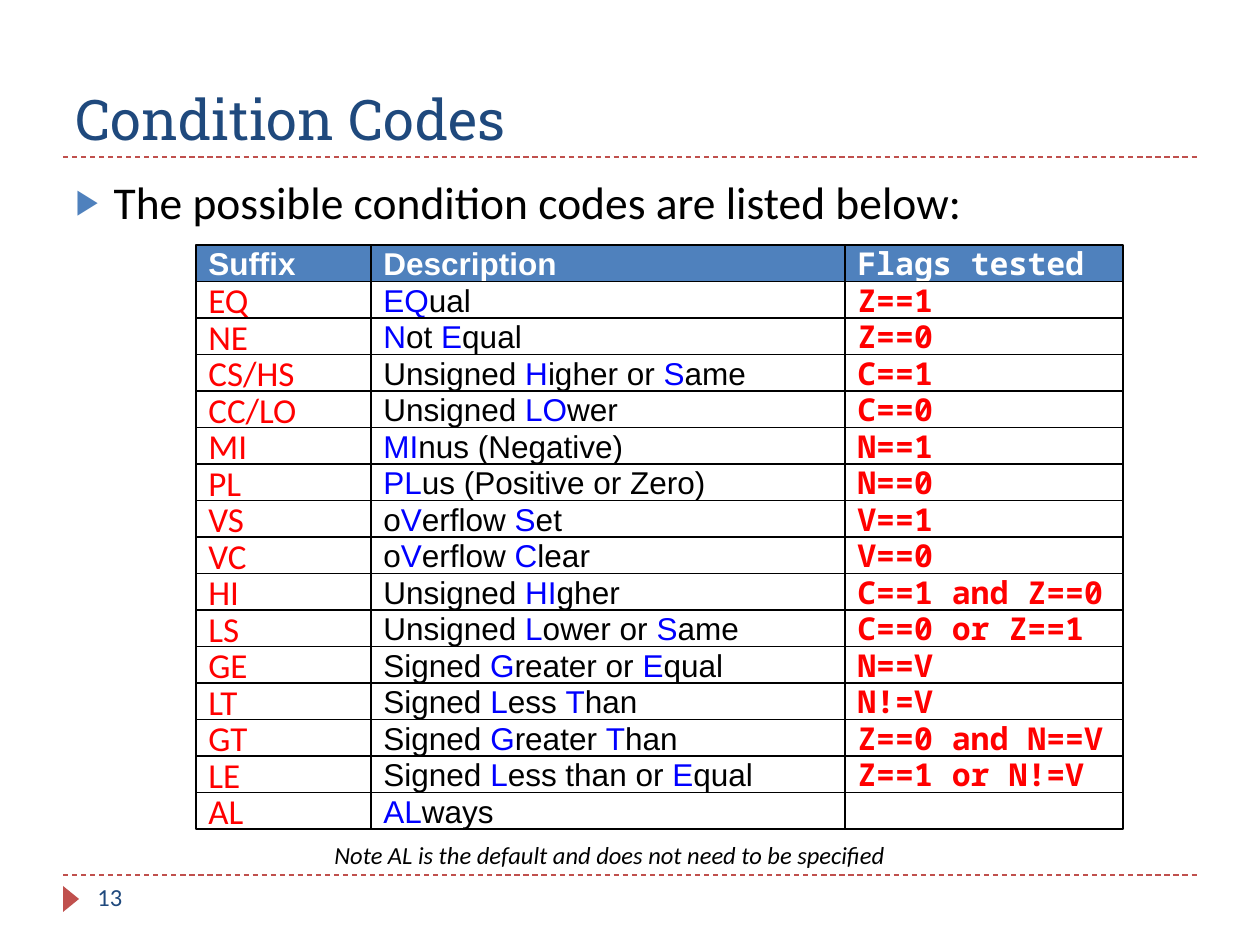
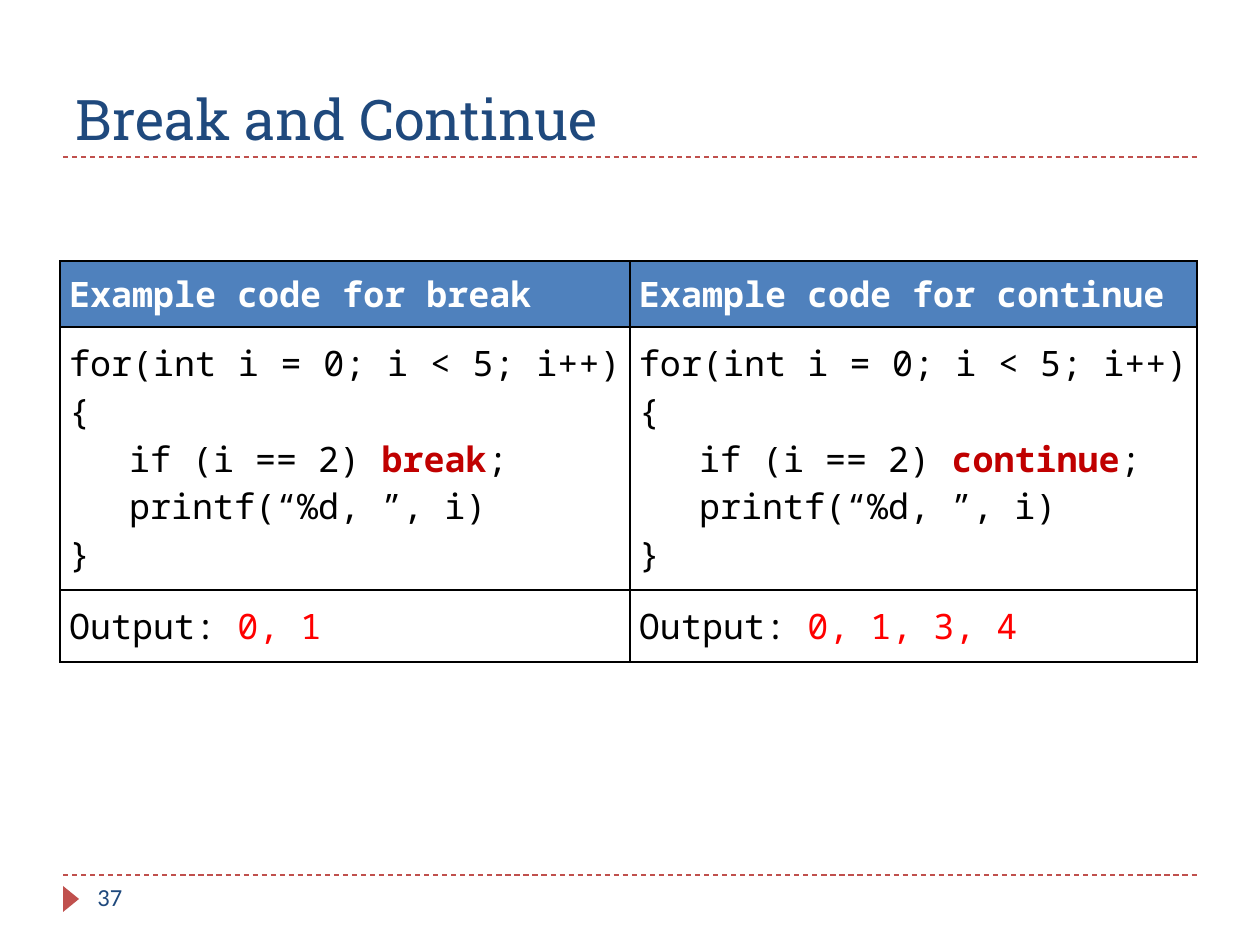
from collections import namedtuple

from lxml import etree
from pptx import Presentation
from pptx import util as u
from pptx.dml.color import RGBColor
from pptx.enum import dml, shapes, text
from pptx.oxml import ns

NAVY = RGBColor(0x1F, 0x49, 0x7D)
BLUE = RGBColor(0x4F, 0x81, 0xBD)
BRICK = RGBColor(0xC0, 0x50, 0x4D)
DARK_RED = RGBColor(0xC0, 0x00, 0x00)
RED = RGBColor(0xFF, 0x00, 0x00)
LETTER_BLUE = RGBColor(0x00, 0x00, 0xFF)
BLACK = RGBColor(0x00, 0x00, 0x00)
WHITE = RGBColor(0xFF, 0xFF, 0xFF)

SANS, BODY, MONO, SLAB = "Arial", "Calibri", "Noto Sans Mono", "Roboto Slab"
Style = namedtuple("Style", "font size colour bold italic accent accent_bold",
                   defaults=(False, False, None, False))

TITLE = Style(SLAB, 32, NAVY)
BULLET = Style(BODY, 26, BLACK)
NOTE = Style(BODY, 14, BLACK, italic=True)
NUMBER = Style(BODY, 14, NAVY)

# Text between two bars is set in the accent of its style.
CONDITIONS = [
    ("Suffix", "Description", "Flags tested"),
    ("EQ", "|EQ|ual", "Z==1"),
    ("NE", "|N|ot |E|qual", "Z==0"),
    ("CS/HS", "Unsigned |H|igher or |S|ame", "C==1"),
    ("CC/LO", "Unsigned |LO|wer", "C==0"),
    ("MI", "|MI|nus (Negative)", "N==1"),
    ("PL", "|PL|us (Positive or Zero)", "N==0"),
    ("VS", "o|V|erflow |S|et", "V==1"),
    ("VC", "o|V|erflow |C|lear", "V==0"),
    ("HI", "Unsigned |HI|gher", "C==1 and Z==0"),
    ("LS", "Unsigned |L|ower or |S|ame", "C==0 or Z==1"),
    ("GE", "Signed| G|reater or |E|qual", "N==V"),
    ("LT", "Signed |L|ess |T|han", "N!=V"),
    ("GT", "Signed |G|reater |T|han", "Z==0 and N==V"),
    ("LE", "Signed |L|ess than or |E|qual", "Z==1 or N!=V"),
    ("AL", "|AL|ways", ""),
]
CONDITION_HEADS = [Style(SANS, 18, WHITE, True), Style(SANS, 18, WHITE, True),
                   Style(MONO, 18, WHITE, True)]
CONDITION_CELLS = [Style(BODY, 20, RED), Style(SANS, 18, BLACK, accent=LETTER_BLUE),
                   Style(MONO, 18, RED, True)]
CONDITION_WIDTHS = (175, 474, 278)
GRID_LEFT, GRID_TOP, GRID_HEIGHT = 196, 245, 584

LOOPS = [("break", "0, 1"), ("continue", "0, 1, 3, 4")]
LOOP_HEAD = Style(MONO, 20, WHITE, True)
LOOP_CODE = Style(MONO, 20, BLACK, accent=DARK_RED, accent_bold=True)
LOOP_OUTPUT = Style(MONO, 20, BLACK, accent=RED)
LOOP_ROWS = [
    (LOOP_HEAD, 66, ["Example code for {word}"]),
    (LOOP_CODE, 263, ["for(int i = 0; i < 5; i++){{", "  if (i == 2) |{word}|;",
                      "  printf(“%d, ”, i)", "}}"]),
    (LOOP_OUTPUT, 72, ["Output: |{output}|"]),
]
LOOP_WIDTHS = (570, 567)


def px(length):
    return u.Emu(round(length * 914400 / 126))


def box(*lengths):
    return [px(length) for length in lengths]


def write(paragraph, marked, style):
    for index, piece in enumerate(marked.split("|")):
        if not piece:
            continue
        accented = index % 2 == 1
        run = paragraph.add_run()
        run.text = piece
        font = run.font
        font.name, font.size, font.italic = style.font, u.Pt(style.size), style.italic
        font.bold = style.accent_bold if accented else style.bold
        font.color.rgb = style.accent if accented else style.colour


def indent(paragraph, left, first):
    properties = paragraph._p.get_or_add_pPr()
    properties.set("marL", str(px(left)))
    properties.set("indent", str(px(first)))
    return properties


def add_child(parent, tag, **attributes):
    return etree.SubElement(parent, ns.qn(tag), attributes)


def paint(fill, colour):
    """Fill with a solid colour, or with nothing when the colour is None."""
    if colour is None:
        fill.background()
    else:
        fill.solid()
        fill.fore_color.rgb = colour


def fill_placeholder(placeholder, position, content, style, anchor):
    placeholder.left, placeholder.top, placeholder.width, placeholder.height = box(*position)
    frame = placeholder.text_frame
    frame.auto_size = text.MSO_AUTO_SIZE.NONE
    frame.vertical_anchor = anchor
    paragraph = frame.paragraphs[0]
    paragraph.alignment = text.PP_ALIGN.LEFT
    paragraph.space_before = u.Pt(0)
    write(paragraph, content, style)
    return paragraph


def add_text(slide, position, content, style):
    frame = slide.shapes.add_textbox(*box(*position)).text_frame
    frame.word_wrap = True
    write(frame.paragraphs[0], content, style)
    return frame.paragraphs[0]


def add_shape(slide, kind, position, colour):
    shape = slide.shapes.add_shape(kind, *box(*position))
    shape.shadow.inherit = False
    paint(shape.fill, colour)
    return shape


def add_rule(slide, top):
    rule = slide.shapes.add_connector(shapes.MSO_CONNECTOR.STRAIGHT, *box(63, top, 1197, top))
    rule.line.color.rgb = BRICK
    rule.line.width = u.Pt(0.75)
    rule.line.dash_style = dml.MSO_LINE.DASH
    add_child(rule._element.spPr, "a:effectLst")


def start_slide(presentation, layout_index, title, number):
    slide = presentation.slides.add_slide(presentation.slide_layouts[layout_index])
    for top in (157, 875):
        add_rule(slide, top)
    marker = add_shape(slide, shapes.MSO_SHAPE.ISOSCELES_TRIANGLE, (58, 891, 26, 16), BRICK)
    marker.rotation = 90
    marker.line.fill.background()
    fill_placeholder(slide.shapes.title, (63, 21, 1134, 137), title, TITLE,
                     text.MSO_ANCHOR.BOTTOM)
    add_text(slide, (85, 876, 273, 50), number, NUMBER)
    return slide


def add_condition_cell(slide, position, content, style, colour):
    cell = add_shape(slide, shapes.MSO_SHAPE.RECTANGLE, position, colour)
    cell.line.color.rgb = BLACK
    cell.line.width = u.Pt(1)
    frame = cell.text_frame
    frame.word_wrap = False
    frame.vertical_anchor = text.MSO_ANCHOR.MIDDLE
    frame.paragraphs[0].alignment = text.PP_ALIGN.LEFT
    write(frame.paragraphs[0], content, style)


def add_condition_slide(presentation):
    slide = start_slide(presentation, 1, "Condition Codes", "13")
    bullet = fill_placeholder(slide.placeholders[1], (63, 168, 1134, 680),
                              "The possible condition codes are listed below:", BULLET,
                              text.MSO_ANCHOR.TOP)
    properties = indent(bullet, 38, -38)
    add_child(add_child(properties, "a:buClr"), "a:srgbClr", val=str(BLUE))
    add_child(properties, "a:buSzPct", val="76000")
    add_child(properties, "a:buChar", char="▶")

    row_height = GRID_HEIGHT / len(CONDITIONS)
    for row_index, row in enumerate(CONDITIONS):
        styles, colour = (CONDITION_CELLS, None) if row_index else (CONDITION_HEADS, BLUE)
        top = GRID_TOP + row_index * row_height
        left = GRID_LEFT
        for content, style, width in zip(row, styles, CONDITION_WIDTHS):
            add_condition_cell(slide, (left, top, width, row_height), content, style, colour)
            left += width

    note = add_text(slide, (GRID_LEFT, 834, 886, 43),
                    "Note AL is the default and does not need to be specified", NOTE)
    indent(note, 126, 0)


def format_loop_cell(cell, colour):
    cell.vertical_anchor = text.MSO_ANCHOR.MIDDLE
    cell.margin_left = cell.margin_right = px(9)
    cell.margin_top = cell.margin_bottom = 0
    for side in "LRTB":
        border = add_child(cell._tc.get_or_add_tcPr(), f"a:ln{side}", w="12700")
        add_child(add_child(border, "a:solidFill"), "a:srgbClr", val=str(BLACK))
    paint(cell.fill, colour)


def add_loop_slide(presentation):
    slide = start_slide(presentation, 5, "Break and Continue", "37")
    heights = [height for _, height, _ in LOOP_ROWS]
    table = slide.shapes.add_table(len(LOOP_ROWS), len(LOOPS),
                                   *box(60, 261, sum(LOOP_WIDTHS), sum(heights))).table
    table.first_row = table.horz_banding = False
    for row, height in zip(table.rows, heights):
        row.height = px(height)
    for column_index, (word, output) in enumerate(LOOPS):
        table.columns[column_index].width = px(LOOP_WIDTHS[column_index])
        for row_index, (style, _, lines) in enumerate(LOOP_ROWS):
            cell = table.cell(row_index, column_index)
            format_loop_cell(cell, None if row_index else BLUE)
            frame = cell.text_frame
            for line_index, line in enumerate(lines):
                paragraph = frame.add_paragraph() if line_index else frame.paragraphs[0]
                paragraph.alignment = text.PP_ALIGN.JUSTIFY
                if line.startswith(" "):
                    indent(paragraph, 0, 18)
                write(paragraph, line.format(word=word, output=output), style)


def main():
    presentation = Presentation()
    presentation.slide_width, presentation.slide_height = box(1260, 945)
    add_condition_slide(presentation)
    add_loop_slide(presentation)
    presentation.save("out.pptx")


if __name__ == "__main__":
    main()
